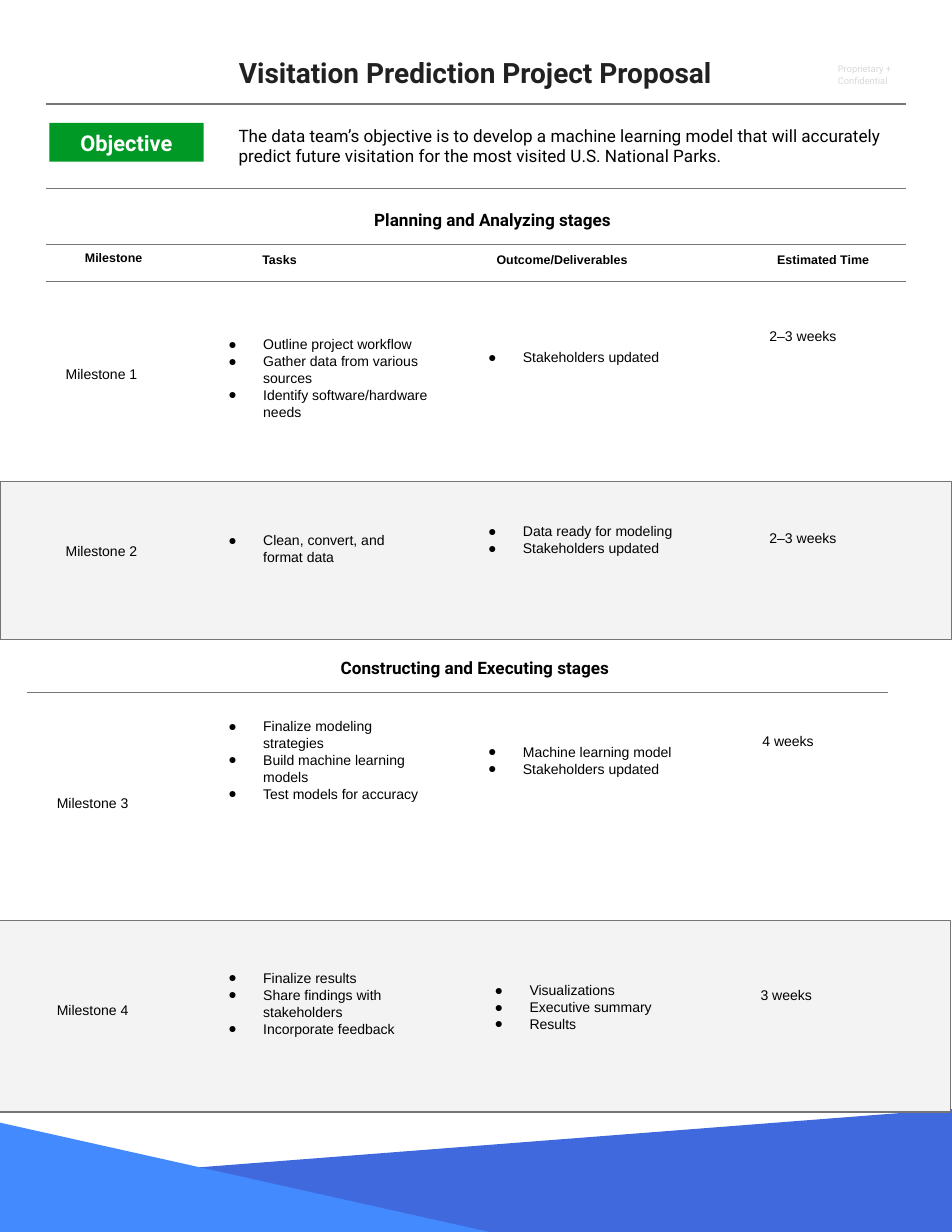
from dataclasses import dataclass

import pptx
import pptx.dml.color
import pptx.enum.shapes
import pptx.enum.text
import pptx.oxml.ns
import pptx.util
from lxml import etree

Cm = pptx.util.Cm
Pt = pptx.util.Pt
CENTER = pptx.enum.text.PP_ALIGN.CENTER
RECTANGLE = pptx.enum.shapes.MSO_SHAPE.RECTANGLE
STRAIGHT = pptx.enum.shapes.MSO_CONNECTOR.STRAIGHT


@dataclass(frozen=True)
class Theme:
    heading_font: str = "Roboto"
    body_font: str = "Arial"
    black: str = "000000"
    white: str = "FFFFFF"
    title: str = "212121"
    faint: str = "D9D9D9"
    rule: str = "757575"
    band: str = "F3F3F3"
    green: str = "009925"
    dark_blue: str = "4069DD"
    light_blue: str = "448AFF"
    title_size: float = 18
    badge_size: float = 14
    heading_size: float = 11
    body_size: float = 9
    label_size: float = 8
    note_size: float = 6
    rule_width: float = 0.75
    inset: float = 0.25
    bullet_margin: float = 1.27
    bullet_hang: float = 0.79


def rgb(color):
    return pptx.dml.color.RGBColor.from_string(color)


class Page:
    """Holds the theme and the slide being filled; all lengths are in cm."""

    def __init__(self, slide, theme):
        self.slide = slide
        self.theme = theme

    def set_lines(self, frame, lines, size, font, color=None, bold=False,
                  align=None, spacing=None, bullets=False):
        frame.word_wrap = True
        inset = Cm(self.theme.inset)
        frame.margin_left = frame.margin_right = inset
        frame.margin_top = frame.margin_bottom = inset
        for index, line in enumerate(lines):
            paragraph = frame.paragraphs[0] if index == 0 else frame.add_paragraph()
            paragraph.text = line
            if align is not None:
                paragraph.alignment = align
            if spacing is not None:
                paragraph.line_spacing = spacing
            if bullets:
                self.add_bullet(paragraph)
            paragraph.font.size = Pt(size)
            paragraph.font.name = font
            paragraph.font.bold = bold
            paragraph.font.color.rgb = rgb(color or self.theme.black)

    def add_bullet(self, paragraph):
        qn = pptx.oxml.ns.qn
        properties = paragraph._p.get_or_add_pPr()
        properties.set("marL", str(Cm(self.theme.bullet_margin)))
        properties.set("indent", str(-Cm(self.theme.bullet_hang)))
        bullet_color = etree.SubElement(properties, qn("a:buClr"))
        etree.SubElement(bullet_color, qn("a:srgbClr"), val=self.theme.black)
        etree.SubElement(properties, qn("a:buFont"), typeface=self.theme.body_font)
        etree.SubElement(properties, qn("a:buChar"), char="●")

    def text(self, left, top, width, height, lines, size, font, **style):
        box = self.slide.shapes.add_textbox(Cm(left), Cm(top), Cm(width), Cm(height))
        self.set_lines(box.text_frame, lines, size, font, **style)

    def heading(self, left, top, words):
        self.text(left, top, 8.79, 1.04, [words], self.theme.heading_size,
                  self.theme.heading_font, bold=True, align=CENTER)

    def column_label(self, left, top, width, words):
        self.text(left, top, width, 0.86, [words], self.theme.label_size,
                  self.theme.body_font, bold=True, align=CENTER)

    def body(self, left, top, width, lines, bullets=False):
        height = 2 * self.theme.inset + 0.38 * len(lines)
        self.text(left, top, width, height, lines, self.theme.body_size,
                  self.theme.body_font, bullets=bullets)

    def rule(self, left, top, right):
        line = self.slide.shapes.add_connector(
            STRAIGHT, Cm(left), Cm(top), Cm(right), Cm(top))
        line.line.color.rgb = rgb(self.theme.rule)
        line.line.width = Pt(self.theme.rule_width)
        etree.SubElement(line._element.spPr, pptx.oxml.ns.qn("a:effectLst"))

    def fill(self, shape, color, outline=None):
        shape.shadow.inherit = False
        shape.fill.solid()
        shape.fill.fore_color.rgb = rgb(color)
        if outline:
            shape.line.color.rgb = rgb(outline)
            shape.line.width = Pt(self.theme.rule_width)
        else:
            shape.line.fill.background()

    def rectangle(self, left, top, width, height, color, outline=None):
        shape = self.slide.shapes.add_shape(
            RECTANGLE, Cm(left), Cm(top), Cm(width), Cm(height))
        self.fill(shape, color, outline)
        return shape

    def polygon(self, points, color):
        start, *rest = [(Cm(x), Cm(y)) for x, y in points]
        builder = self.slide.shapes.build_freeform(*start)
        builder.add_line_segments(rest)
        self.fill(builder.convert_to_shape(), color)

    def badge(self, left, top, width, height, words):
        shape = self.rectangle(left, top, width, height, self.theme.green)
        shape.text_frame.vertical_anchor = pptx.enum.text.MSO_ANCHOR.MIDDLE
        self.set_lines(shape.text_frame, [words], self.theme.badge_size,
                       self.theme.heading_font, color=self.theme.white,
                       bold=True, align=CENTER)


# Each cell: left, top, content; the tasks cell also has its width.
MILESTONES = [
    ((1.24, 8.1, "Milestone 1"),
     (4.45, 7.37, 5.72, ["Outline project workflow", "Gather data from various sources",
                         "Identify software/hardware needs"]),
     (10.34, 7.72, ["Stakeholders updated"]),
     (17.2, 7.24, "2–3 weeks")),
    ((1.24, 12.12, "Milestone 2"),
     (4.45, 11.81, 5.44, ["Clean, convert, and format data"]),
     (10.34, 11.61, ["Data ready for modeling", "Stakeholders updated"]),
     (17.2, 11.81, "2–3 weeks")),
    ((1.04, 17.83, "Milestone 3"),
     (4.45, 16.03, 5.5, ["Finalize modeling strategies", "Build machine learning models",
                         "Test models for accuracy"]),
     (10.34, 16.61, ["Machine learning model", "Stakeholders updated"]),
     (17.04, 16.41, "4 weeks")),
    ((1.04, 22.53, "Milestone 4"),
     (4.45, 21.74, 5.5, ["Finalize results", "Share findings with stakeholders",
                         "Incorporate feedback"]),
     (10.49, 22.02, ["Visualizations", "Executive summary", "Results"]),
     (17, 22.17, "3 weeks")),
]

COLUMN_LABELS = [
    (1.4, 5.51, 2.36, "Milestone"),
    (5.16, 5.54, 2.36, "Tasks"),
    (10.9, 5.54, 3.7, "Outcome/Deliverables"),
    (16.92, 5.54, 3.5, "Estimated Time"),
]


def main():
    proposal = pptx.Presentation()
    proposal.slide_width, proposal.slide_height = Cm(21.59), Cm(27.94)
    theme = Theme()
    page = Page(proposal.slides.add_slide(proposal.slide_layouts[6]), theme)

    page.text(18.75, 1.19, 2.8, 1.65, ["Proprietary + Confidential"],
              theme.note_size, theme.heading_font, color=theme.faint)
    page.polygon([(21.64, 28.12), (21.62, 25.15), (0.05, 26.82), (0.08, 27.94)],
                 theme.dark_blue)
    page.polygon([(11.23, 27.97), (-0.05, 25.45), (-0.03, 28.04)], theme.light_blue)

    page.text(2.97, 1.07, 15.62, 1.8, ["Visitation Prediction Project Proposal"],
              theme.title_size, theme.heading_font, color=theme.title,
              bold=True, align=CENTER, spacing=0.95)
    page.badge(1.12, 2.79, 3.5, 0.88, "Objective")
    page.text(5.16, 2.59, 15.39, 1.32,
              ["The data team’s objective is to develop a machine learning model that will "
               "accurately predict future visitation for the most visited U.S. National Parks."],
              theme.heading_size, theme.heading_font)

    for top in (2.36, 4.27, 5.54, 6.38):
        page.rule(1.04, top, 20.55)
    page.rule(0.61, 15.7, 20.14)
    page.heading(6.78, 4.52, "Planning and Analyzing stages")
    page.heading(6.38, 14.68, "Constructing and Executing stages")
    for label in COLUMN_LABELS:
        page.column_label(*label)

    page.rectangle(0, 10.92, 21.59, 3.58, theme.band, theme.rule)
    page.rectangle(-0.03, 20.88, 21.59, 4.34, theme.band, theme.rule)
    for (name_x, name_y, name), tasks, (out_x, out_y, outcomes), (time_x, time_y, time) in MILESTONES:
        page.body(name_x, name_y, 2.64, [name])
        page.body(*tasks, bullets=True)
        page.body(out_x, out_y, 5.5, outcomes, bullets=True)
        page.body(time_x, time_y, 3.5, [time])

    proposal.save("out.pptx")


if __name__ == "__main__":
    main()
